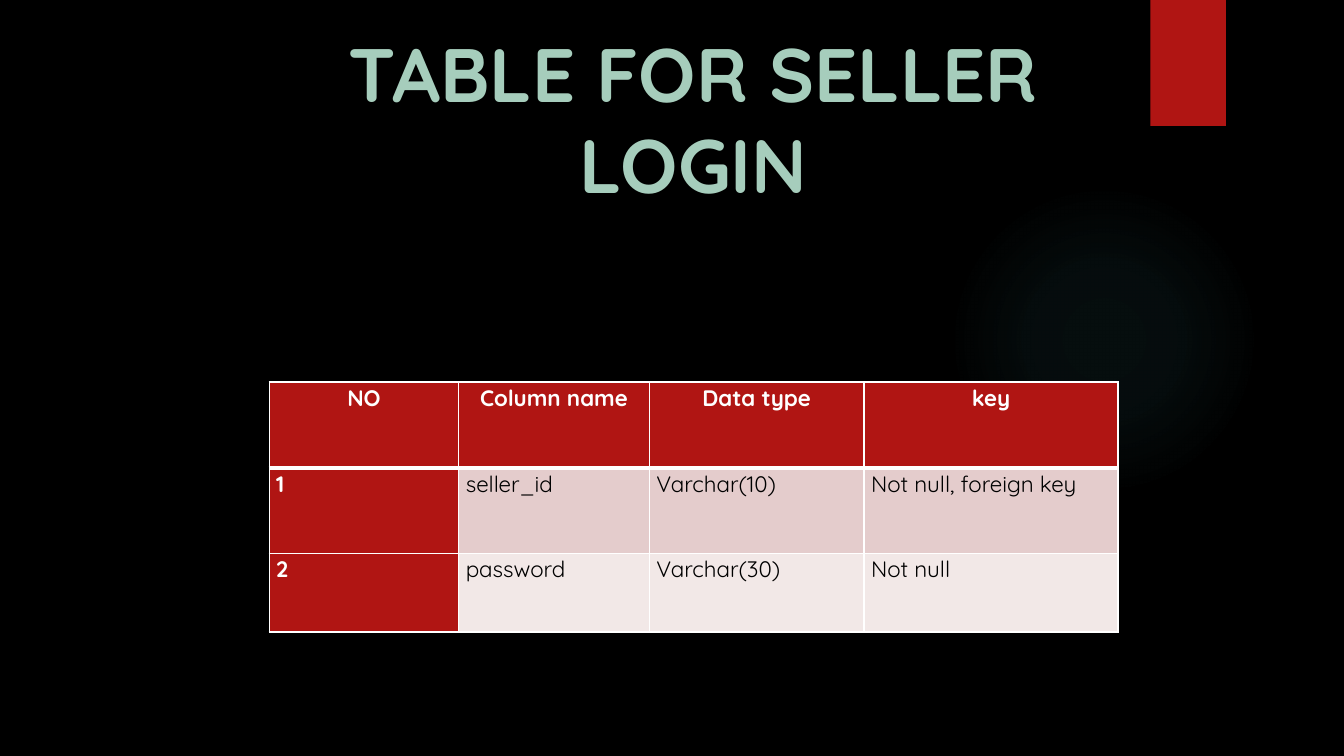
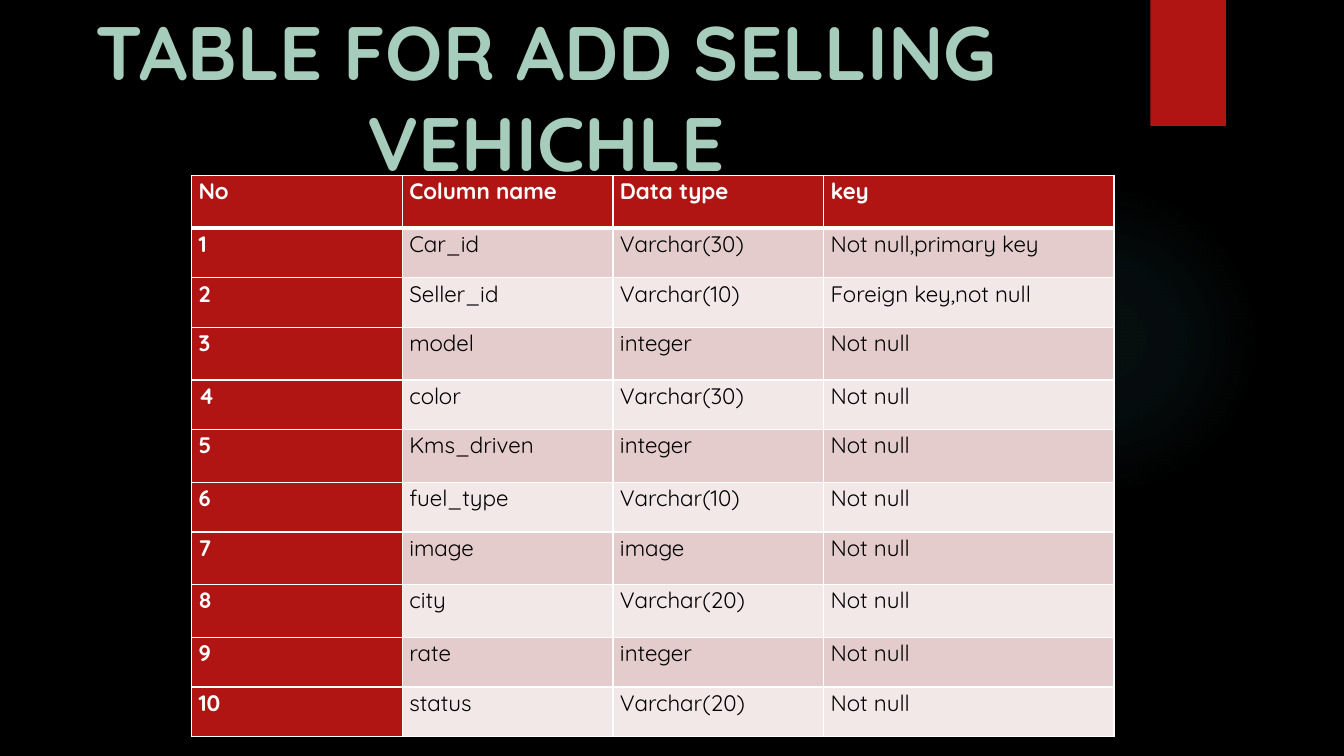
from pptx import Presentation
from pptx.dml.color import RGBColor
from pptx.enum.shapes import MSO_SHAPE
from pptx.enum.text import MSO_ANCHOR, MSO_AUTO_SIZE, PP_ALIGN
from pptx.oxml import parse_xml
from pptx.util import Inches, Pt

OVAL, RECTANGLE = MSO_SHAPE.OVAL, MSO_SHAPE.RECTANGLE
TOP, NO_AUTOFIT = MSO_ANCHOR.TOP, MSO_AUTO_SIZE.NONE
LEFT, CENTER = PP_ALIGN.LEFT, PP_ALIGN.CENTER
TITLE_ONLY = 5

# Shared style
FONT = "Quicksand"
COLORS = {
    "background": "000000", "accent": "B01513", "title": "A6CDBC", "glow": "50B9C1",
    "band_dark": "E4CCCC", "band_light": "F2E8E7", "light": "FFFFFF", "dark": "000000",
}
GLOW_STOPS = [(0, 7), (36, 6), (69, 0)]  # position %, opacity %
DRAWING_NS = 'xmlns:a="http://schemas.openxmlformats.org/drawingml/2006/main"'

# Content: boxes are left, top, width, height in inches
SLIDES = [
    {
        "title": "TABLE FOR SELLER LOGIN",
        "title_box": (2.38, 0.22, 8.99, 1.92),
        "table_box": (2.67, 3.79, 8.42, 2.48),
        "columns": [1.88, 1.89, 2.13, 2.52],
        "rows": [0.85, 0.85, 0.78],
        "header": ("NO", "Column name", "Data type", "key"),
        "header_align": CENTER,
        "fields": [
            ("seller_id", "Varchar(10)", "Not null, foreign key"),
            ("password", "Varchar(30)", "Not null"),
        ],
    },
    {
        "title": "TABLE FOR ADD SELLING VEHICHLE",
        "title_box": (0.24, 0, 10.35, 1.92),
        "table_box": (1.9, 1.74, 9.16, 5.57),
        "columns": [2.09, 2.09, 2.09, 2.88],
        "rows": [0.52, 0.49, 0.49, 0.52, 0.49, 0.52, 0.49, 0.52, 0.52, 0.49, 0.49],
        "header": ("No", "Column name", "Data type", "key"),
        "header_align": LEFT,
        "fields": [
            ("Car_id", "Varchar(30)", "Not null,primary key"),
            ("Seller_id", "Varchar(10)", "Foreign key,not null"),
            ("model", "integer", "Not null"),
            ("color", "Varchar(30)", "Not null"),
            ("Kms_driven", "integer", "Not null"),
            ("fuel_type", "Varchar(10)", "Not null"),
            ("image", "image", "Not null"),
            ("city", "Varchar(20)", "Not null"),
            ("rate", "integer", "Not null"),
            ("status", "Varchar(20)", "Not null"),
        ],
    },
]


def color(name):
    return RGBColor.from_string(COLORS[name])


def inches(box):
    return [Inches(length) for length in box]


def style_paragraph(paragraph, size, color_name, bold, align):
    paragraph.alignment = align
    for run in paragraph.runs:
        run.font.name = FONT
        run.font.size = Pt(size)
        run.font.bold = bold
        run.font.color.rgb = color(color_name)


def add_plain_shape(slide, preset, box):
    shape = slide.shapes.add_shape(preset, *inches(box))
    shape.shadow.inherit = False
    shape.line.fill.background()
    return shape


def add_backdrop(slide):
    slide.background.fill.solid()
    slide.background.fill.fore_color.rgb = color("background")

    # Soft radial glow
    glow = add_plain_shape(slide, OVAL, (9.41, 1.83, 3.08, 3.08))
    stops = "".join(
        f'<a:gs pos="{position * 1000}"><a:srgbClr val="{COLORS["glow"]}">'
        f'<a:alpha val="{opacity * 1000}"/></a:srgbClr></a:gs>'
        for position, opacity in GLOW_STOPS)
    gradient = parse_xml(
        f'<a:gradFill {DRAWING_NS}><a:gsLst>{stops}</a:gsLst><a:path path="circle">'
        '<a:fillToRect l="50000" t="50000" r="50000" b="50000"/></a:path></a:gradFill>')
    glow.fill.background()
    properties = glow._element.spPr
    properties.replace(properties.find("{*}noFill"), gradient)

    # Red ribbon
    ribbon = add_plain_shape(slide, RECTANGLE, (11.41, 0, 0.75, 1.25))
    ribbon.fill.solid()
    ribbon.fill.fore_color.rgb = color("accent")


def set_title(slide, text, box):
    title = slide.shapes.title
    title.left, title.top, title.width, title.height = inches(box)
    frame = title.text_frame
    frame.text = text
    frame.word_wrap = True
    frame.auto_size = NO_AUTOFIT
    frame.vertical_anchor = TOP
    style_paragraph(frame.paragraphs[0], 54, "title", True, CENTER)


def set_borders(cell, top, bottom):
    properties = cell._tc.get_or_add_tcPr()
    widths = {"lnL": 1, "lnR": 1, "lnT": top, "lnB": bottom}
    for index, (side, width) in enumerate(widths.items()):
        properties.insert(index, parse_xml(
            f'<a:{side} {DRAWING_NS} w="{Pt(width)}"><a:solidFill>'
            f'<a:srgbClr val="{COLORS["light"]}"/></a:solidFill></a:{side}>'))


def add_field_table(slide, content):
    records = [content["header"]] + [
        (str(number), *field) for number, field in enumerate(content["fields"], 1)]
    box = content["table_box"]
    table = slide.shapes.add_table(
        len(records), len(content["columns"]), *inches(box)).table
    for column, width in zip(table.columns, content["columns"]):
        column.width = Inches(width)
    # Row heights share out the full height of the table
    scale = box[3] / sum(content["rows"])
    for row, height in zip(table.rows, content["rows"]):
        row.height = Inches(height * scale)

    for r, record in enumerate(records):
        band = "band_dark" if r % 2 else "band_light"
        for c, text in enumerate(record):
            cell = table.cell(r, c)
            heading = r == 0 or c == 0
            cell.fill.solid()
            cell.fill.fore_color.rgb = color("accent" if heading else band)
            cell.margin_left = cell.margin_right = Inches(0.07)
            cell.margin_top = cell.margin_bottom = 0
            cell.text_frame.text = text
            paragraph = cell.text_frame.paragraphs[0]
            paragraph.line_spacing = 1.07
            style_paragraph(paragraph, 16, "light" if heading else "dark", heading,
                            content["header_align"] if r == 0 else LEFT)
            set_borders(cell, top=3 if r == 1 else 1, bottom=3 if r == 0 else 1)


def main():
    deck = Presentation()
    deck.slide_width, deck.slide_height = Inches(13.33), Inches(7.5)
    for content in SLIDES:
        slide = deck.slides.add_slide(deck.slide_layouts[TITLE_ONLY])
        add_backdrop(slide)
        add_field_table(slide, content)
        set_title(slide, content["title"], content["title_box"])
    deck.save("out.pptx")


if __name__ == "__main__":
    main()
